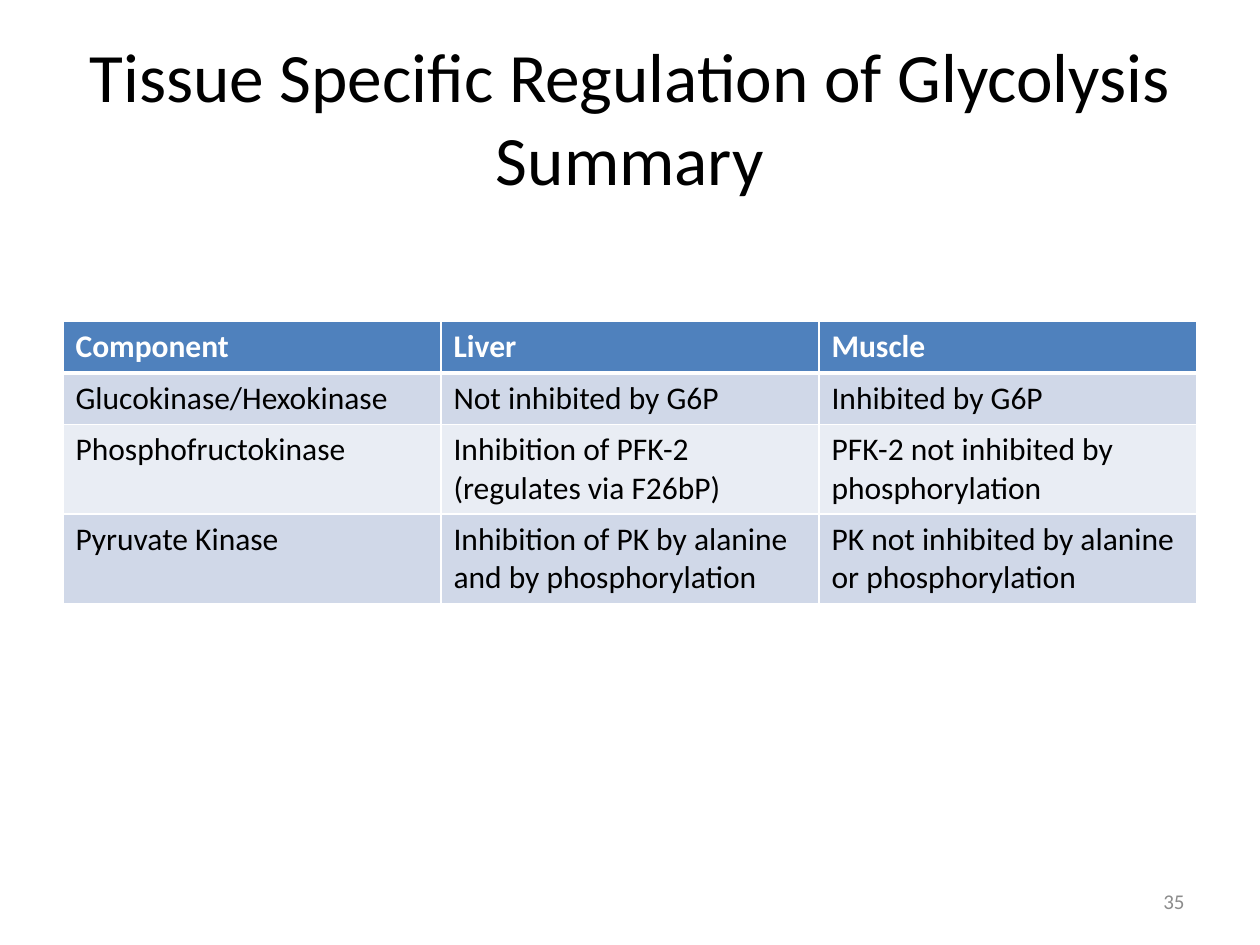
from lxml import etree
from pptx import Presentation
from pptx.dml.color import RGBColor
from pptx.enum import text
from pptx.oxml.ns import qn
from pptx.util import Inches, Pt

FONT = "Calibri"
ROWS = [
    ("Component", "Liver", "Muscle"),
    ("Glucokinase/Hexokinase", "Not inhibited by G6P", "Inhibited by G6P"),
    ("Phosphofructokinase", "Inhibition of PFK-2 (regulates via F26bP)",
     "PFK-2 not inhibited by phosphorylation"),
    ("Pyruvate Kinase", "Inhibition of PK by alanine and by phosphorylation",
     "PK not inhibited by alanine or phosphorylation"),
]
ROW_HEIGHTS = (0.41, 0.41, 0.7, 0.7)
HEADER, BANDS = "4F81BD", ("E9EDF4", "D0D8E8")


def rgb(value):
    return RGBColor.from_string(value)


def add_run(p, words, size, color, bold=False):
    r = p.add_run()
    r.text = words
    r.font.name, r.font.size, r.font.bold = FONT, Pt(size), bold
    r.font.color.rgb = rgb(color)


def set_borders(cell, color, **widths):
    tcPr = cell._tc.get_or_add_tcPr()
    for side in "LRTB":
        ln = etree.SubElement(tcPr, qn(f"a:ln{side}"), w=str(Pt(widths.get(side, 1))))
        fill = etree.SubElement(ln, qn("a:solidFill"))
        etree.SubElement(fill, qn("a:srgbClr"), val=color)


def place_title(s, x, y, w, h):
    sp = s.shapes.title
    sp.left, sp.top, sp.width, sp.height = map(Inches, (x, y, w, h))
    tf = sp.text_frame
    tf.word_wrap = True
    tf.auto_size = text.MSO_AUTO_SIZE.NONE
    tf.vertical_anchor = text.MSO_ANCHOR.MIDDLE
    p = tf.paragraphs[0]
    p.alignment = text.PP_ALIGN.CENTER
    add_run(p, "Tissue Specific Regulation of Glycolysis Summary", 39.6, "000000")


def place_table(s, x, y, w, h):
    table = s.shapes.add_table(len(ROWS), len(ROWS[0]),
                               *map(Inches, (x, y, w, h))).table
    for col in table.columns:
        col.width = Inches(w / len(ROWS[0]))
    for i, (row, height) in enumerate(zip(ROWS, ROW_HEIGHTS)):
        table.rows[i].height = Inches(height)
        head = i == 0
        for j, words in enumerate(row):
            cell = table.cell(i, j)
            # A thick rule divides the header from the body
            set_borders(cell, "FFFFFF", B=3 if head else 1, T=3 if i == 1 else 1)
            cell.fill.solid()
            cell.fill.fore_color.rgb = rgb(HEADER if head else BANDS[i % 2])
            add_run(cell.text_frame.paragraphs[0], words, 18,
                    "FFFFFF" if head else "000000", head)


def place_number(s, x, y, w, h):
    tf = s.shapes.add_textbox(*map(Inches, (x, y, w, h))).text_frame
    tf.word_wrap = True
    tf.vertical_anchor = text.MSO_ANCHOR.MIDDLE
    p = tf.paragraphs[0]
    p.alignment = text.PP_ALIGN.RIGHT
    add_run(p, "35", 12, "8C8C8C")


def main():
    prs = Presentation()
    prs.slide_width, prs.slide_height = Inches(10), Inches(7.5)
    s = prs.slides.add_slide(prs.slide_layouts[5])  # title only
    s.background.fill.solid()
    s.background.fill.fore_color.rgb = rgb("FFFFFF")
    place_title(s, 0.5, 0.3, 9, 1.25)
    place_table(s, 0.5, 2.55, 9, sum(ROW_HEIGHTS))
    place_number(s, 7.17, 6.95, 2.33, 0.4)
    prs.save("out.pptx")


if __name__ == "__main__":
    main()
